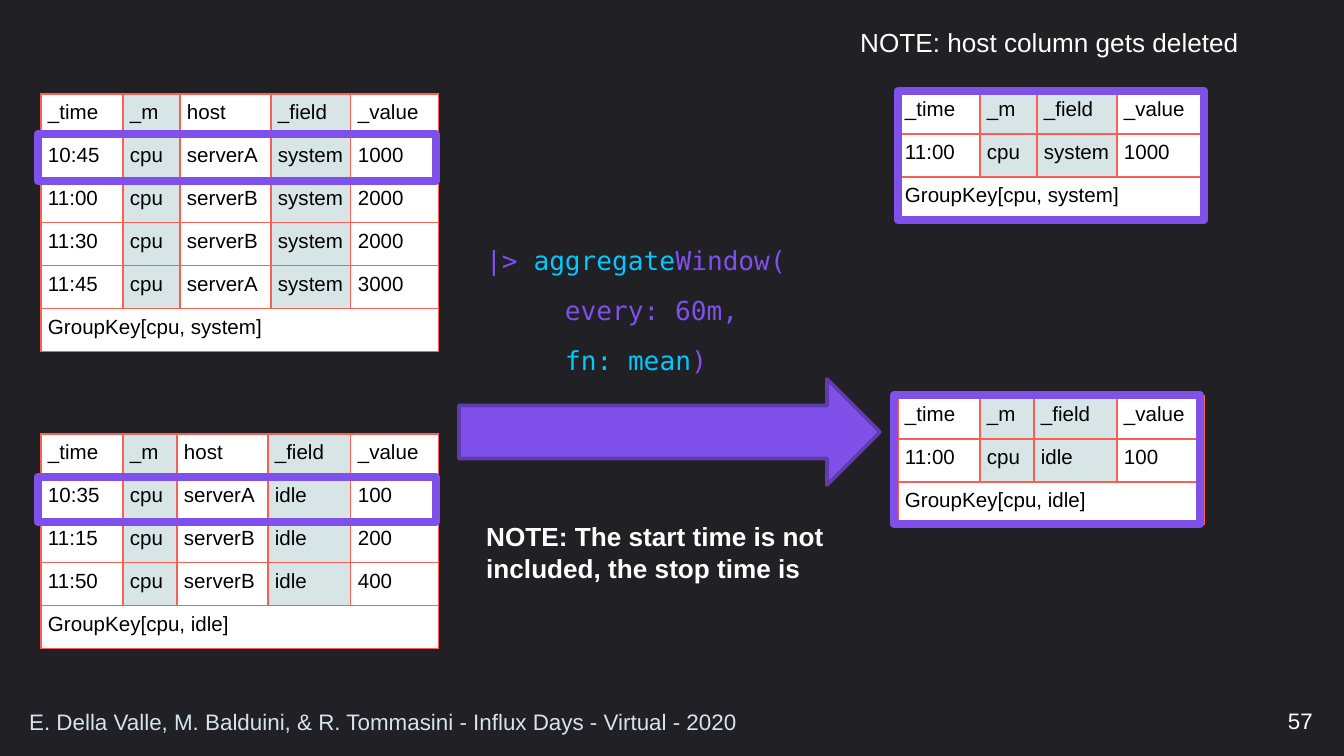
from lxml import etree
from pptx import Presentation
from pptx.dml.color import RGBColor
from pptx.enum.shapes import MSO_SHAPE
from pptx.enum.text import MSO_ANCHOR, PP_ALIGN
from pptx.oxml.ns import qn
from pptx.util import Pt

RECT, ARROW = MSO_SHAPE.RECTANGLE, MSO_SHAPE.RIGHT_ARROW
TOP, MIDDLE = MSO_ANCHOR.TOP, MSO_ANCHOR.MIDDLE
LEFT, RIGHT = PP_ALIGN.LEFT, PP_ALIGN.RIGHT
SCALE = 914400 / 134.4
SANS, MONO = "Arial", "DejaVu Sans Mono"
DARK, WHITE, BLACK, PALE = "202025", "FFFFFF", "000000", "D7E5E6"
PURPLE, VIOLET, CYAN, RED = "8050EA", "5F3BAD", "00C9FF", "F95F53"
ROW, PAD = 43, 7

# Content: tables as (left, top, column widths, rows, group key)
FULL = ("_time", "_m", "host", "_field", "_value")
SHORT = ("_time", "_m", "_field", "_value")
KEYS = ("_m", "_field")
TABLES = [
    (41, 94, (82, 57, 91, 80, 88), [
        FULL,
        ("10:45", "cpu", "serverA", "system", "1000"),
        ("11:00", "cpu", "serverB", "system", "2000"),
        ("11:30", "cpu", "serverB", "system", "2000"),
        ("11:45", "cpu", "serverA", "system", "3000"),
    ], "GroupKey[cpu, system]"),
    (41, 434, (82, 54, 91, 83, 88), [
        FULL,
        ("10:35", "cpu", "serverA", "idle", "100"),
        ("11:15", "cpu", "serverB", "idle", "200"),
        ("11:50", "cpu", "serverB", "idle", "400"),
    ], "GroupKey[cpu, idle]"),
    (898, 91, (82, 57, 80, 88), [
        SHORT,
        ("11:00", "cpu", "system", "1000"),
    ], "GroupKey[cpu, system]"),
    (898, 396, (82, 54, 83, 88), [
        SHORT,
        ("11:00", "cpu", "idle", "100"),
    ], "GroupKey[cpu, idle]"),
]
FRAMES = [(38, 134, 398, 47), (38, 477, 398, 45),
          (898, 91, 306, 129), (894, 395, 306, 129)]
CODE = [
    [("|> ", PURPLE), ("aggregate", CYAN), ("Window(", PURPLE)],
    [("     every: 60m,", PURPLE)],
    [("     ", PURPLE), ("fn: mean", CYAN), (")", PURPLE)],
]
START = "NOTE: The start time is not included, the stop time is"
HOST = "NOTE: host column gets deleted"
FOOTER = "E. Della Valle, M. Balduini, & R. Tommasini - Influx Days - Virtual - 2020"


def px(n):
    return round(n * SCALE)


def box(*sides):
    return [px(n) for n in sides]


def tint(text):
    return RGBColor.from_string(text)


def paint(fill, color):
    fill.solid()
    fill.fore_color.rgb = tint(color)


def add_run(para, text, size, color, font=SANS, bold=False):
    run = para.add_run()
    run.text = text
    run.font.name, run.font.size, run.font.bold = font, Pt(size), bold
    run.font.color.rgb = tint(color)


def add_text(slide, area, lines, size, font=SANS, bold=False,
             align=LEFT, anchor=TOP, wrap=True, space=1.0):
    frame = slide.shapes.add_textbox(*box(*area)).text_frame
    frame.word_wrap, frame.vertical_anchor = wrap, anchor
    para = frame.paragraphs[0]
    para.alignment, para.line_spacing = align, space
    for i, line in enumerate(lines):
        if i:
            para.add_line_break()
        for text, color in line:
            add_run(para, text, size, color, font, bold)


def add_border(cell):
    props = cell._tc.get_or_add_tcPr()
    for side in ("lnL", "lnR", "lnT", "lnB"):
        line = etree.SubElement(props, qn("a:" + side), w=str(Pt(0.75)))
        fill = etree.SubElement(line, qn("a:solidFill"))
        etree.SubElement(fill, qn("a:srgbClr"), val=RED)


def fill_cell(cell, text, color):
    cell.margin_left = cell.margin_right = px(PAD)
    cell.margin_top = cell.margin_bottom = px(PAD)
    add_border(cell)
    paint(cell.fill, color)
    if text:
        add_run(cell.text_frame.paragraphs[0], text, 11, BLACK)


def add_grid(slide, left, top, widths, rows, key):
    count = len(widths)
    area = box(left, top, sum(widths), ROW * (len(rows) + 1))
    grid = slide.shapes.add_table(len(rows) + 1, count, *area).table
    for col, width in zip(grid.columns, widths):
        col.width = px(width)
    for r, row in enumerate(rows):
        for c, text in enumerate(row):
            color = PALE if rows[0][c] in KEYS else WHITE
            fill_cell(grid.cell(r, c), text, color)
    # Group key across the last row
    last = len(rows)
    grid.cell(last, 0).merge(grid.cell(last, count - 1))
    for c in range(count):
        fill_cell(grid.cell(last, c), "" if c else key, WHITE)


def add_form(slide, kind, area, line, width, fill=None):
    form = slide.shapes.add_shape(kind, *box(*area))
    form.shadow.inherit = False
    if fill:
        paint(form.fill, fill)
    else:
        form.fill.background()
    form.line.color.rgb, form.line.width = tint(line), Pt(width)


def main():
    deck = Presentation()
    deck.slide_width, deck.slide_height = px(1344), px(756)
    slide = deck.slides.add_slide(deck.slide_layouts[6])
    paint(slide.background.fill, DARK)

    # Tables, then the frames over them
    for table in TABLES:
        add_grid(slide, *table)
    for area in FRAMES:
        add_form(slide, RECT, area, PURPLE, 4.5)

    # Transformation: arrow and code
    add_form(slide, ARROW, (459, 379, 421, 106), VIOLET, 2, PURPLE)
    add_text(slide, (473, 219, 347, 160), CODE, 14, font=MONO, space=1.6)

    # Notes
    add_text(slide, (473, 514, 388, 77), [[(START, WHITE)]], 14, bold=True)
    add_text(slide, (847, 20, 407, 46), [[(HOST, WHITE)]], 14, wrap=False)

    # Footer and page number
    add_text(slide, (1024, 701, 302, 40), [[("57", WHITE)]], 12,
             align=RIGHT, anchor=MIDDLE)
    add_text(slide, (16, 702, 1001, 39), [[(FOOTER, PALE)]], 12, anchor=MIDDLE)
    deck.save("out.pptx")


if __name__ == "__main__":
    main()
